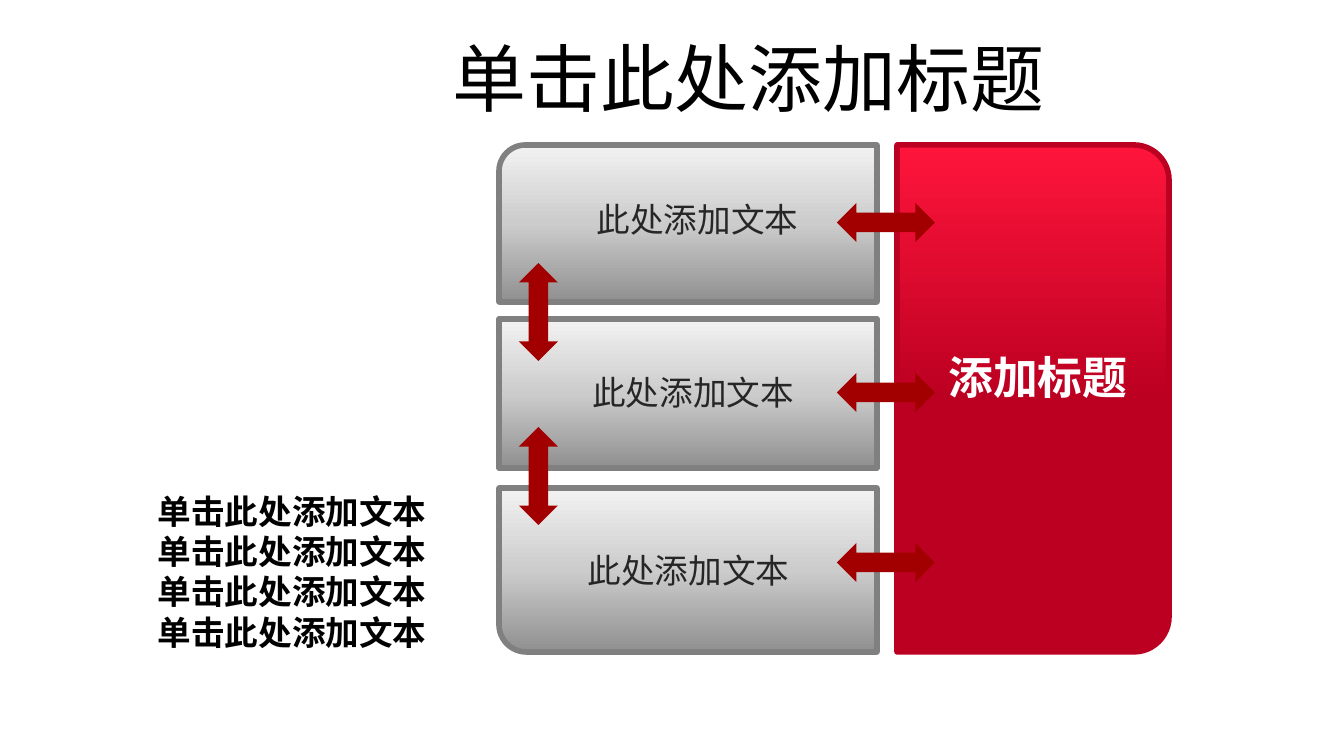
from copy import deepcopy
from lxml.etree import SubElement
from pptx import Presentation
from pptx.dml.color import RGBColor as RGB
from pptx.enum.shapes import MSO_SHAPE as SHAPE
from pptx.enum.text import MSO_ANCHOR as ANCHOR, MSO_AUTO_SIZE as AUTOSIZE, PP_ALIGN as ALIGN
from pptx.oxml.ns import qn
from pptx.util import Emu, Pt

COLOURS = {
    "title": "000000", "card text": "262626", "panel text": "FFFFFF",
    "card line": "808080", "panel line": "BC0021", "arrow": "A20000",
}
GRADIENTS = {
    "card": ("909090", "CCCCCC", "F2F2F2"),
    "panel": ("BC0021", "BC0021", "FF153C"),
}
FORMATS = {
    "title": {"size": Pt(39.6), "name": "Roboto", "bold": False},
    "card": {"size": Pt(18), "name": "Noto Sans CJK SC", "bold": False},
    "panel": {"size": Pt(24), "name": "Noto Sans CJK SC", "bold": True},
    "list": {"size": Pt(18), "name": "Noto Sans CJK SC", "bold": True},
}


def px(length):
    """Turn pixels of the layout into EMU."""
    return Emu(round(length * 914400 / 134.4))


class Board:
    """Holds the style and the current slide."""

    def __init__(self, slide):
        self.slide = slide

    def fill_text(self, holder, lines, style, colour, align, anchor=ANCHOR.TOP):
        """Fill a text holder with formatted paragraphs."""
        frame = holder.text_frame
        frame.text = "\n".join(lines)
        settings = {"word_wrap": True, "auto_size": AUTOSIZE.NONE, "vertical_anchor": anchor}
        for key, value in settings.items():
            setattr(frame, key, value)
        spacing = {"alignment": align, "space_before": Pt(0),
                   "line_spacing": Pt(FORMATS[style]["size"].pt * 1.2)}
        for paragraph in frame.paragraphs:
            for key, value in spacing.items():
                setattr(paragraph, key, value)
            font = paragraph.runs[0].font
            for key, value in FORMATS[style].items():
                setattr(font, key, value)
            font.color.rgb = RGB.from_string(COLOURS[colour])
            properties = paragraph.runs[0]._r.get_or_add_rPr()
            SubElement(properties, qn("a:ea"), typeface=FORMATS[style]["name"])

    def placeholder(self, index, box, lines, style, align, anchor):
        """Move and fill a template placeholder."""
        holder = self.slide.placeholders[index]
        for key, value in zip(("left", "top", "width", "height"), box):
            setattr(holder, key, px(value))
        self.fill_text(holder, lines, style, "title", align, anchor)
        return holder

    def bullets_off(self, holder):
        """Remove bullets and indents from a list."""
        for paragraph in holder.text_frame.paragraphs:
            properties = paragraph._p.get_or_add_pPr()
            properties.set("marL", "0")
            properties.set("indent", "0")
            SubElement(properties, qn("a:buNone"))

    def shape(self, parent, kind, box, turn=0):
        """Add a turned shape that covers the given box."""
        left, top, width, height = box
        if turn % 180:
            shift = (width - height) / 2
            left, top, width, height = left + shift, top - shift, height, width
        shape = parent.add_shape(kind, *map(px, (left, top, width, height)))
        shape.rotation = turn
        shape.shadow.inherit = False
        return shape

    def block(self, kind, box, turn, label, label_box, style, corners=()):
        """Add a gradient block grouped with its label."""
        group = self.slide.shapes.add_group_shape().shapes
        block = self.shape(group, kind, box, turn)
        for number, corner in enumerate(corners):
            block.adjustments[number] = corner
        block.fill.gradient()
        block.fill.gradient_angle = (90 + turn) % 360
        stop_list = block.element.spPr.find(".//" + qn("a:gsLst"))
        stop_list.append(deepcopy(stop_list[0]))
        for number, stop in enumerate(block.fill.gradient_stops):
            stop.position = number / 2
            stop.color.rgb = RGB.from_string(GRADIENTS[style][number])
        block.line.color.rgb = RGB.from_string(COLOURS[style + " line"])
        block.line.width = Pt(3)
        caption = group.add_textbox(*map(px, label_box))
        self.fill_text(caption, [label], style, style + " text", ALIGN.CENTER)

    def arrow(self, box, turn=0):
        """Add a double-headed arrow."""
        arrow = self.shape(self.slide.shapes, SHAPE.LEFT_RIGHT_ARROW, box, turn)
        arrow.fill.solid()
        arrow.fill.fore_color.rgb = RGB.from_string(COLOURS["arrow"])
        arrow.line.fill.background()


deck = Presentation()
deck.slide_width, deck.slide_height = px(1344), px(756)
board = Board(deck.slides.add_slide(deck.slide_layouts[1]))

board.placeholder(0, (164, 38, 1169, 77), ["单击此处添加标题"], "title", ALIGN.CENTER, ANCHOR.MIDDLE)
board.block(SHAPE.ROUND_2_SAME_RECTANGLE, (897, 145, 272, 507), 90,
            "添加标题", (930, 343, 216, 67), "panel", (0.129, 0))

cards = [
    (SHAPE.ROUND_1_RECTANGLE, 145, 157, 270, (578, 192, 239, 54)),
    (SHAPE.RECTANGLE, 319, 149, 0, (568, 365, 250, 54)),
    (SHAPE.ROUND_1_RECTANGLE, 488, 164, 180, (559, 543, 259, 54)),
]
for kind, top, height, turn, label_box in cards:
    board.block(kind, (499, top, 378, height), turn, "此处添加文本", label_box, "card")

for top in (203, 373, 543):
    board.arrow((837, top, 98, 39))
for top in (427, 263):
    board.arrow((519, top, 39, 98), 270)

points = board.placeholder(1, (101, 484, 339, 176), ["单击此处添加文本"] * 4, "list", ALIGN.RIGHT, ANCHOR.TOP)
board.bullets_off(points)

deck.save("out.pptx")
